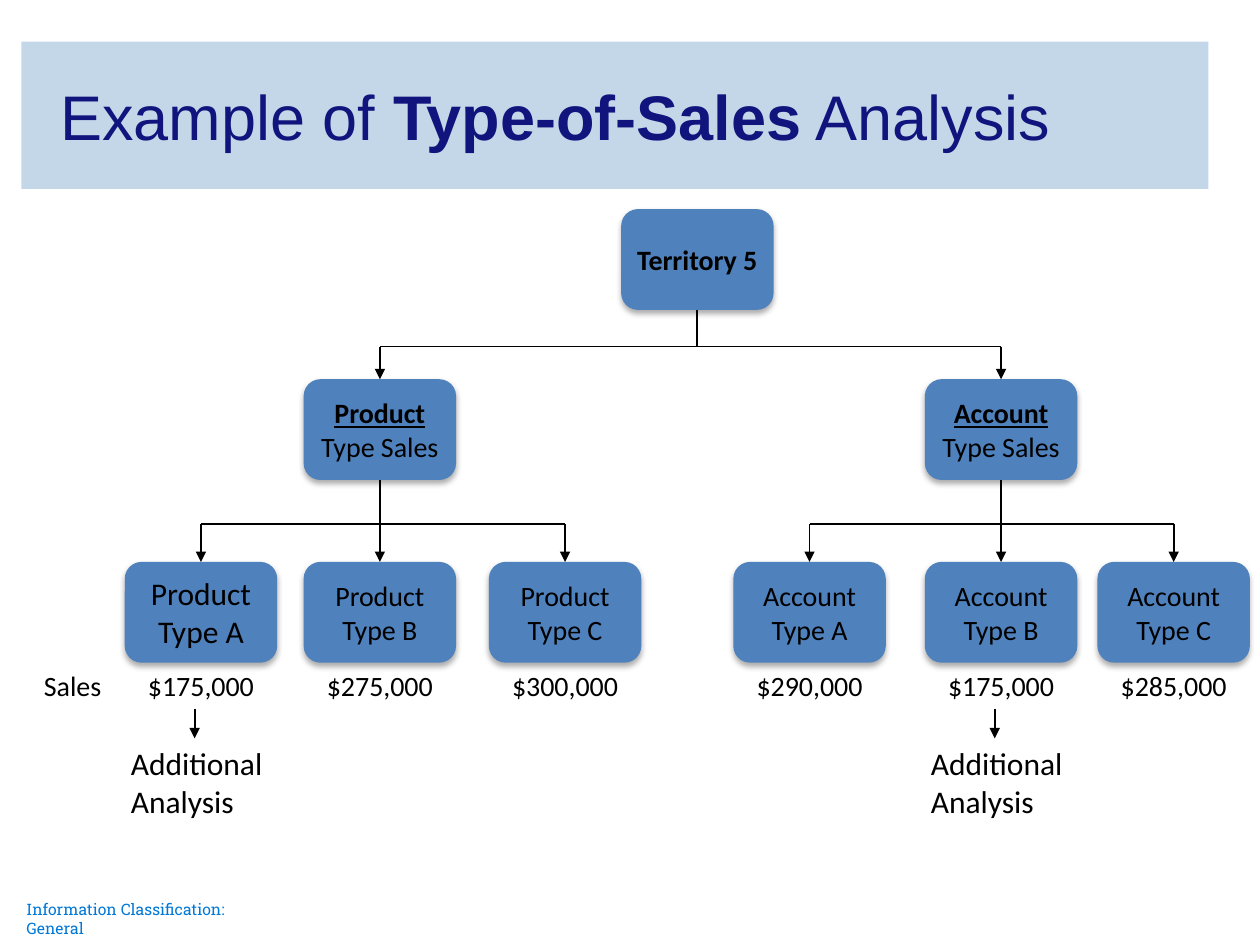
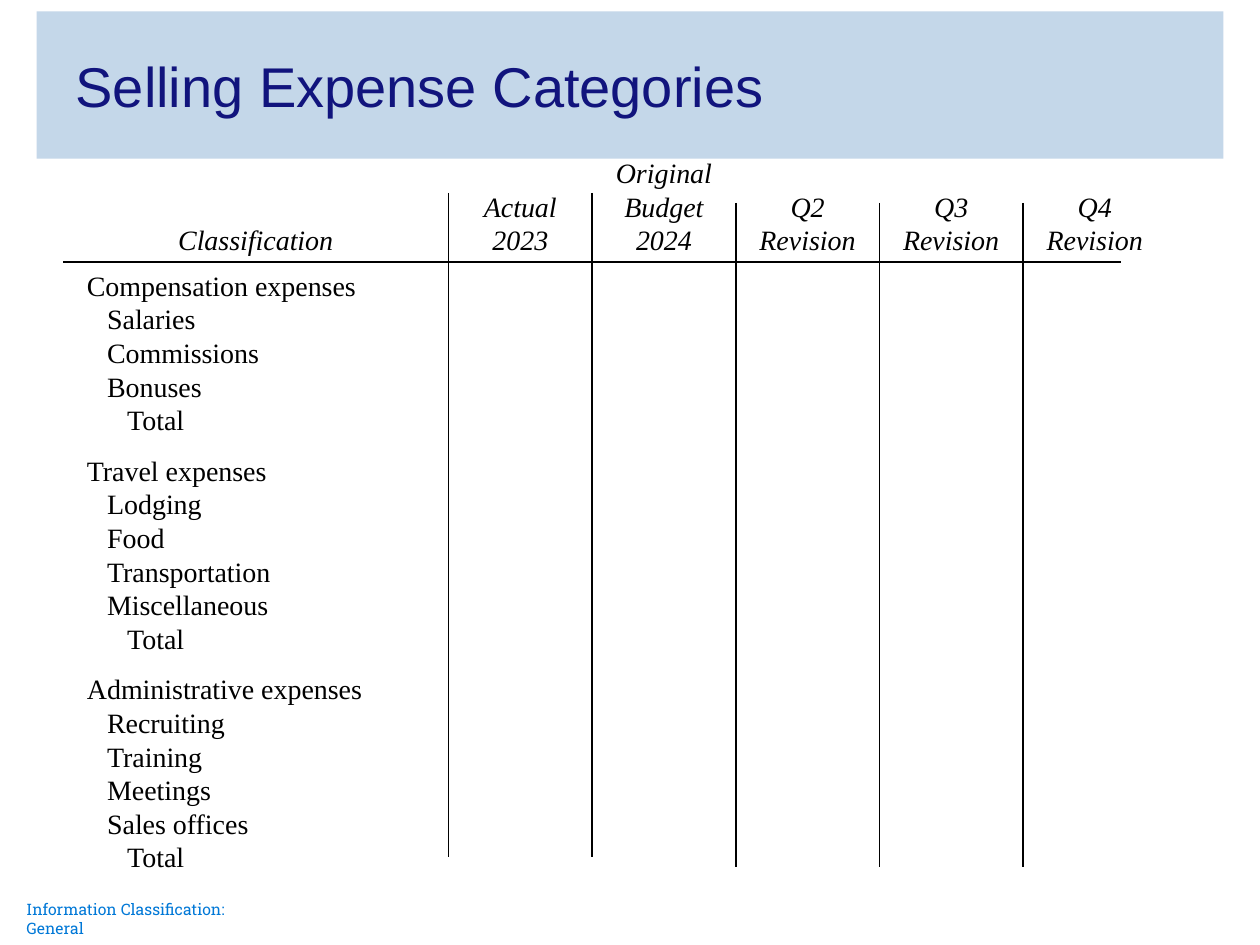
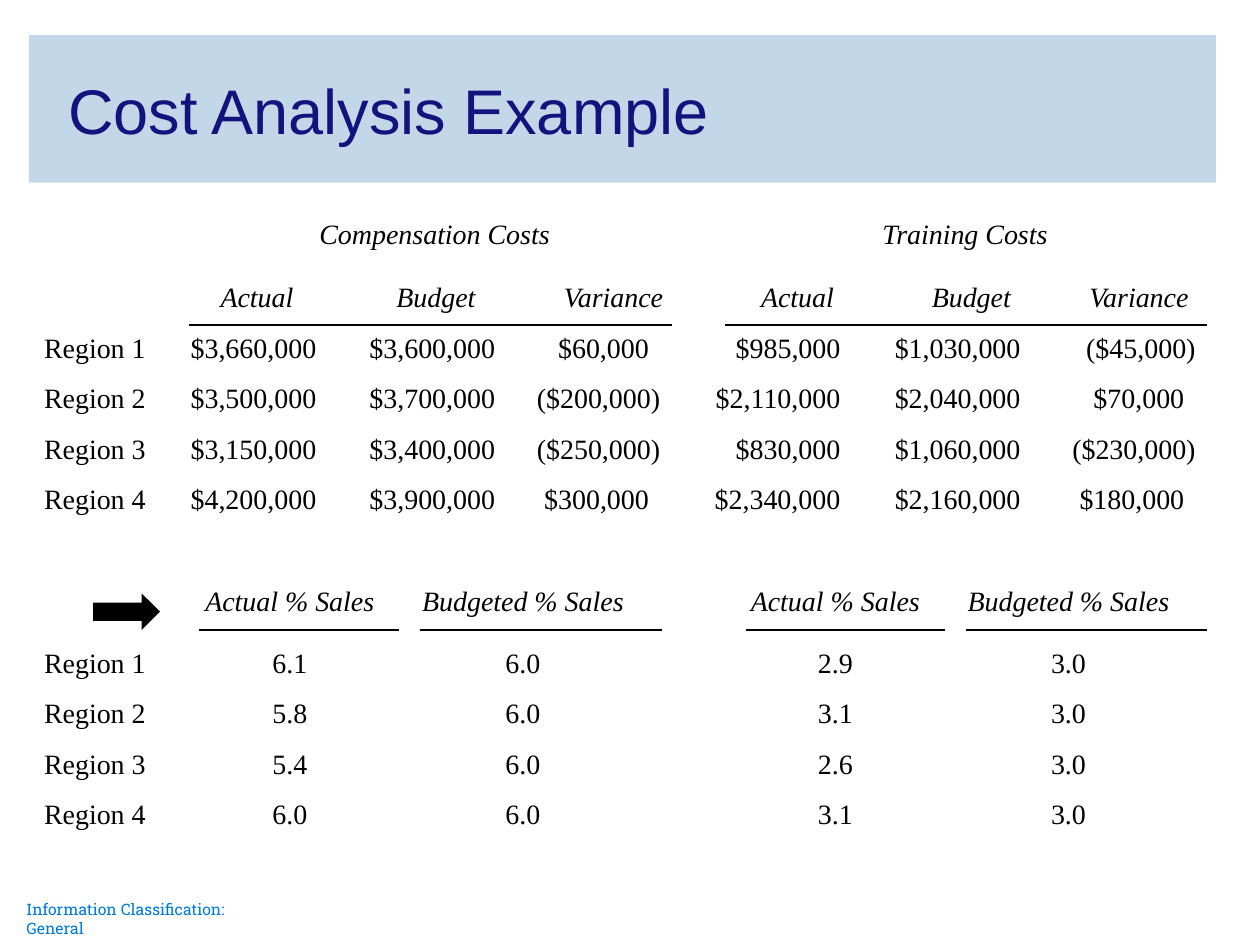
from itertools import accumulate

from lxml import etree
from pptx import Presentation
from pptx.dml.color import RGBColor
from pptx.enum import shapes, text
from pptx.oxml.ns import qn
from pptx.util import Inches, Pt

BLACK = RGBColor(0x00, 0x00, 0x00)
NAVY = RGBColor(0x11, 0x14, 0x7D)
BAND = RGBColor(0xC4, 0xD7, 0xE9)
BOX_BLUE = RGBColor(0x4F, 0x81, 0xBD)
FOOTER_BLUE = RGBColor(0x00, 0x78, 0xD7)
SANS, SERIF = "Calibri", "Times New Roman"
FOOTER = "Information Classification: General"
NO_GRID = "{2D5ABB26-0587-4C30-8999-92F81FD0307C}"
LEFT, CENTER, RIGHT = text.PP_ALIGN.LEFT, text.PP_ALIGN.CENTER, text.PP_ALIGN.RIGHT
MIDDLE, BOTTOM = text.MSO_ANCHOR.MIDDLE, text.MSO_ANCHOR.BOTTOM

BOX_WIDTH, BOX_HEIGHT = 1.21, 0.8
ROOT_LEFT, ROOT_TOP = 4.93, 1.66
BRANCH_TOP, LEAF_TOP = 3.01, 4.46
ROOT_BUS, LEAF_BUS = 2.75, 4.16
BRANCHES = [
    ("Product", 2.41, [
        ("Type A", 0.99, "$175,000", True),
        ("Type B", 2.41, "$275,000", False),
        ("Type C", 3.88, "$300,000", False)]),
    ("Account", 7.34, [
        ("Type A", 5.82, "$290,000", False),
        ("Type B", 7.34, "$175,000", True),
        ("Type C", 8.71, "$285,000", False)]),
]

EXPENSE_HEADERS = ["Classification", "Actual\n2023", "Original\nBudget\n2024",
                   "Q2\nRevision", "Q3\nRevision", "Q4\nRevision"]
EXPENSES = {
    "Compensation expenses": ["Salaries", "Commissions", "Bonuses"],
    "Travel expenses": ["Lodging", "Food", "Transportation", "Miscellaneous"],
    "Administrative expenses": ["Recruiting", "Training", "Meetings", "Sales offices"],
}
EXPENSE_LEFT, RULE_TOP, HEADER_HEIGHT = 0.5, 2.08, 0.86
EXPENSE_WIDTHS = [3.06] + [1.14] * 5
COLUMN_RULE_TOPS = [1.53, 1.53, 1.61, 1.61, 1.61]
COLUMN_RULE_LENGTH = 5.27

REGIONS = ["Region 1", "Region 2", "Region 3", "Region 4"]
COST_GROUPS = [("Compensation Costs", 1), ("Training Costs", 5)]
COST_HEADERS = ["Actual", "Budget", "Variance"]
COSTS = [
    ["$3,660,000", "$3,600,000", "$60,000", "", "$985,000", "$1,030,000", "($45,000)"],
    ["$3,500,000", "$3,700,000", "($200,000)", "", "$2,110,000", "$2,040,000", "$70,000"],
    ["$3,150,000", "$3,400,000", "($250,000)", "", "$830,000", "$1,060,000", "($230,000)"],
    ["$4,200,000", "$3,900,000", "$300,000", "", "$2,340,000", "$2,160,000", "$180,000"],
]
COST_WIDTHS = [1.08, 1.42, 1.42, 1.4, 0.05, 1.42, 1.34, 1.32]
COST_RIGHT_MARGINS = [0, 0.24, 0.24, 0.33, 0, 0.37, 0.28, 0.21]
PARENTHESIS = 0.09
SHARE_HEADERS = ["Actual % Sales", "Budgeted % Sales"]
SHARES = [
    ["6.1", "6.0", "", "2.9", "3.0"],
    ["5.8", "6.0", "", "3.1", "3.0"],
    ["5.4", "6.0", "", "2.6", "3.0"],
    ["6.0", "6.0", "", "3.1", "3.0"],
]
SHARE_WIDTHS = [1.1, 1.9, 1.8, 0.65, 1.86, 1.84]
COST_RULES = [(1.5, 5.33, 2.58), (5.75, 9.58, 2.58), (1.58, 3.17, 5), (3.33, 5.25, 5),
              (5.92, 7.5, 5), (7.67, 9.58, 5)]


def style(paragraphs, size, font, color=BLACK, align=LEFT, italic=False):
    for paragraph in paragraphs:
        paragraph.alignment = align
        for run in paragraph.runs:
            run.font.size = Pt(size)
            run.font.name = font
            run.font.color.rgb = color
            run.font.italic = italic


def add_label(slide, left, top, width, height, content, size, align=LEFT,
              font=SANS, color=BLACK, margin=None):
    frame = slide.shapes.add_textbox(
        Inches(left), Inches(top), Inches(width), Inches(height)).text_frame
    frame.word_wrap = True
    if margin is not None:
        frame.margin_left = frame.margin_right = Inches(margin)
        frame.margin_top = frame.margin_bottom = Inches(margin)
    frame.text = content
    style(frame.paragraphs, size, font, color, align)


def add_solid(slide, kind, left, top, width, height, color):
    shape = slide.shapes.add_shape(
        kind, Inches(left), Inches(top), Inches(width), Inches(height))
    shape.shadow.inherit = False
    shape.fill.solid()
    shape.fill.fore_color.rgb = color
    shape.line.fill.background()
    return shape


def add_line(slide, start, end, arrow=False, begin=None, finish=None):
    line = slide.shapes.add_connector(
        shapes.MSO_CONNECTOR.STRAIGHT, *(Inches(value) for value in (*start, *end)))
    line.line.color.rgb = BLACK
    line.line.width = Pt(1)
    if arrow:
        etree.SubElement(line.line._get_or_add_ln(), qn("a:tailEnd"), type="triangle")
    etree.SubElement(line._element.spPr, qn("a:effectLst"))
    if begin is not None:
        line.begin_connect(begin, 2)
    if finish is not None:
        line.end_connect(finish, 0)


def new_slide(presentation, title_runs, left, top, size):
    slide = presentation.slides.add_slide(presentation.slide_layouts[6])
    band = add_solid(slide, shapes.MSO_SHAPE.RECTANGLE, left, top, 9.42, 1.17, BAND)
    frame = band.text_frame
    frame.word_wrap = True
    frame.vertical_anchor = MIDDLE
    frame.margin_left = Inches(0.31)
    for content, bold in title_runs:
        run = frame.paragraphs[0].add_run()
        run.text = content
        run.font.bold = bold
    style(frame.paragraphs, size, "Arial", NAVY)
    add_label(slide, 0.21, 7.14, 2.03, 0.3, FOOTER, 9,
              font="Roboto Slab", color=FOOTER_BLUE, margin=0)
    return slide


def add_box(slide, left, top, lines, size=16):
    box = add_solid(slide, shapes.MSO_SHAPE.ROUNDED_RECTANGLE,
                    left, top, BOX_WIDTH, BOX_HEIGHT, BOX_BLUE)
    shadow = etree.SubElement(
        box._element.spPr.find(qn("a:effectLst")), qn("a:outerShdw"),
        blurRad=str(Pt(3.5)), dist=str(Pt(2.2)), dir="5400000", rotWithShape="0")
    color = etree.SubElement(shadow, qn("a:srgbClr"), val=str(BLACK))
    etree.SubElement(color, qn("a:alpha"), val="32000")
    frame = box.text_frame
    frame.word_wrap = False
    frame.vertical_anchor = MIDDLE
    frame.text = "\n".join(lines)
    style(frame.paragraphs, size, SANS, align=CENTER)
    return box


def add_plain_table(slide, left, top, widths, heights):
    table = slide.shapes.add_table(
        len(heights), len(widths), Inches(left), Inches(top),
        Inches(sum(widths)), Inches(sum(heights))).table
    table.first_row = table.horz_banding = False
    table._tbl.tblPr.find(qn("a:tableStyleId")).text = NO_GRID
    for column, width in zip(table.columns, widths):
        column.width = Inches(width)
    for row, height in zip(table.rows, heights):
        row.height = Inches(height)
    for cell in table.iter_cells():
        fill_cell(cell, "")
    return table


def fill_cell(cell, content, align=LEFT, anchor=MIDDLE, italic=False,
              left=0, right=0, bottom=0):
    cell.fill.background()
    cell.margin_left, cell.margin_right = Inches(left), Inches(right)
    cell.margin_top, cell.margin_bottom = 0, Inches(bottom)
    cell.vertical_anchor = anchor
    cell.text_frame.text = content
    for paragraph in cell.text_frame.paragraphs:
        paragraph.line_spacing = Pt(19.2)
        if not content:
            paragraph._p.get_or_add_endParaRPr().set("sz", "1600")
    style(cell.text_frame.paragraphs, 16, SERIF, align=align, italic=italic)


def build_sales_tree(presentation):
    slide = new_slide(presentation, [("Example of ", False), ("Type-of-Sales", True),
                                     (" Analysis", False)], 0.17, 0.33, 36)
    half = BOX_WIDTH / 2
    root = add_box(slide, ROOT_LEFT, ROOT_TOP, ["Territory 5"])
    root.text_frame.paragraphs[0].runs[0].font.bold = True
    root_center = ROOT_LEFT + half
    add_line(slide, (root_center, ROOT_TOP + BOX_HEIGHT), (root_center, ROOT_BUS), begin=root)
    add_line(slide, (BRANCHES[0][1] + half, ROOT_BUS), (BRANCHES[-1][1] + half, ROOT_BUS))
    add_label(slide, 0.25, 5.26, 0.7, 0.37, "Sales", 16)

    for name, branch_left, leaves in BRANCHES:
        branch = add_box(slide, branch_left, BRANCH_TOP, [name, "Type Sales"])
        heading = branch.text_frame.paragraphs[0].runs[0].font
        heading.bold = heading.underline = True
        center = branch_left + half
        add_line(slide, (center, ROOT_BUS), (center, BRANCH_TOP), True, finish=branch)
        add_line(slide, (center, BRANCH_TOP + BOX_HEIGHT), (center, LEAF_BUS), begin=branch)
        add_line(slide, (leaves[0][1] + half, LEAF_BUS), (leaves[-1][1] + half, LEAF_BUS))
        for kind, left, sales, analysed in leaves:
            size = 18 if (name, kind) == ("Product", "Type A") else 16
            leaf = add_box(slide, left, LEAF_TOP, [name, kind], size)
            add_line(slide, (left + half, LEAF_BUS), (left + half, LEAF_TOP), True, finish=leaf)
            add_label(slide, left, 5.26, BOX_WIDTH, 0.37, sales, 16, CENTER)
            if analysed:
                arrow_x = left + half - 0.05
                add_line(slide, (arrow_x, 5.63), (arrow_x, 5.86), True)
                add_label(slide, left - 0.05, 5.86, 1.54, 0.7, "Additional Analysis", 18)


def build_expense_categories(presentation):
    slide = new_slide(presentation, [("Selling Expense Categories", False)], 0.29, 0.09, 32)
    rows = []
    for category, items in EXPENSES.items():
        rows.append((category, 0, 0.4 if rows else 0.32))
        rows += [(item, 1, 19.2 / 72) for item in items]
        rows.append(("Total", 2, 19.2 / 72))
    table = add_plain_table(slide, EXPENSE_LEFT, RULE_TOP - HEADER_HEIGHT, EXPENSE_WIDTHS,
                            [HEADER_HEIGHT] + [height for *_, height in rows])
    for column, header in enumerate(EXPENSE_HEADERS):
        fill_cell(table.cell(0, column), header, CENTER, BOTTOM, True, bottom=0.04)
    for row, (label, level, _) in enumerate(rows, 1):
        fill_cell(table.cell(row, 0), label, anchor=BOTTOM, left=0.19 + level * 0.16)

    add_line(slide, (EXPENSE_LEFT, RULE_TOP), (8.9, RULE_TOP))
    edges = accumulate(EXPENSE_WIDTHS[:-1], initial=EXPENSE_LEFT)
    for x, top in zip(list(edges)[1:], COLUMN_RULE_TOPS):
        add_line(slide, (x, top), (x, top + COLUMN_RULE_LENGTH))


def build_cost_analysis(presentation):
    slide = new_slide(presentation, [("Cost Analysis Example", False)], 0.23, 0.28, 36)
    costs = add_plain_table(slide, 0.25, 1.56, COST_WIDTHS, [0.59, 0.41] + [0.4] * 4)
    for group, first in COST_GROUPS:
        costs.cell(0, first).merge(costs.cell(0, first + 2))
        fill_cell(costs.cell(0, first), group, CENTER, italic=True)
        for column, header in enumerate(COST_HEADERS, first):
            fill_cell(costs.cell(1, column), header, CENTER, italic=True)
    for row, (region, values) in enumerate(zip(REGIONS, COSTS), 2):
        fill_cell(costs.cell(row, 0), region, left=0.1)
        for column, value in enumerate(values, 1):
            margin = COST_RIGHT_MARGINS[column]
            if column in (3, 7) and not value.endswith(")"):
                margin += PARENTHESIS
            fill_cell(costs.cell(row, column), value, RIGHT, right=margin)

    shares = add_plain_table(slide, 0.25, 4.47, SHARE_WIDTHS, [0.59] + [0.4] * 4)
    for column, header in enumerate(SHARE_HEADERS + [""] + SHARE_HEADERS, 1):
        fill_cell(shares.cell(0, column), header, CENTER, italic=True)
    for row, (region, values) in enumerate(zip(REGIONS, SHARES), 1):
        fill_cell(shares.cell(row, 0), region, left=0.1)
        for column, value in enumerate(values, 1):
            fill_cell(shares.cell(row, column), value, CENTER)

    for start, end, y in COST_RULES:
        add_line(slide, (start, y), (end, y))
    add_solid(slide, shapes.MSO_SHAPE.RIGHT_ARROW, 0.74, 4.71, 0.53, 0.29, BLACK)


def main():
    presentation = Presentation()
    presentation.slide_width, presentation.slide_height = Inches(10), Inches(7.5)
    build_sales_tree(presentation)
    build_expense_categories(presentation)
    build_cost_analysis(presentation)
    presentation.save("out.pptx")


if __name__ == "__main__":
    main()
